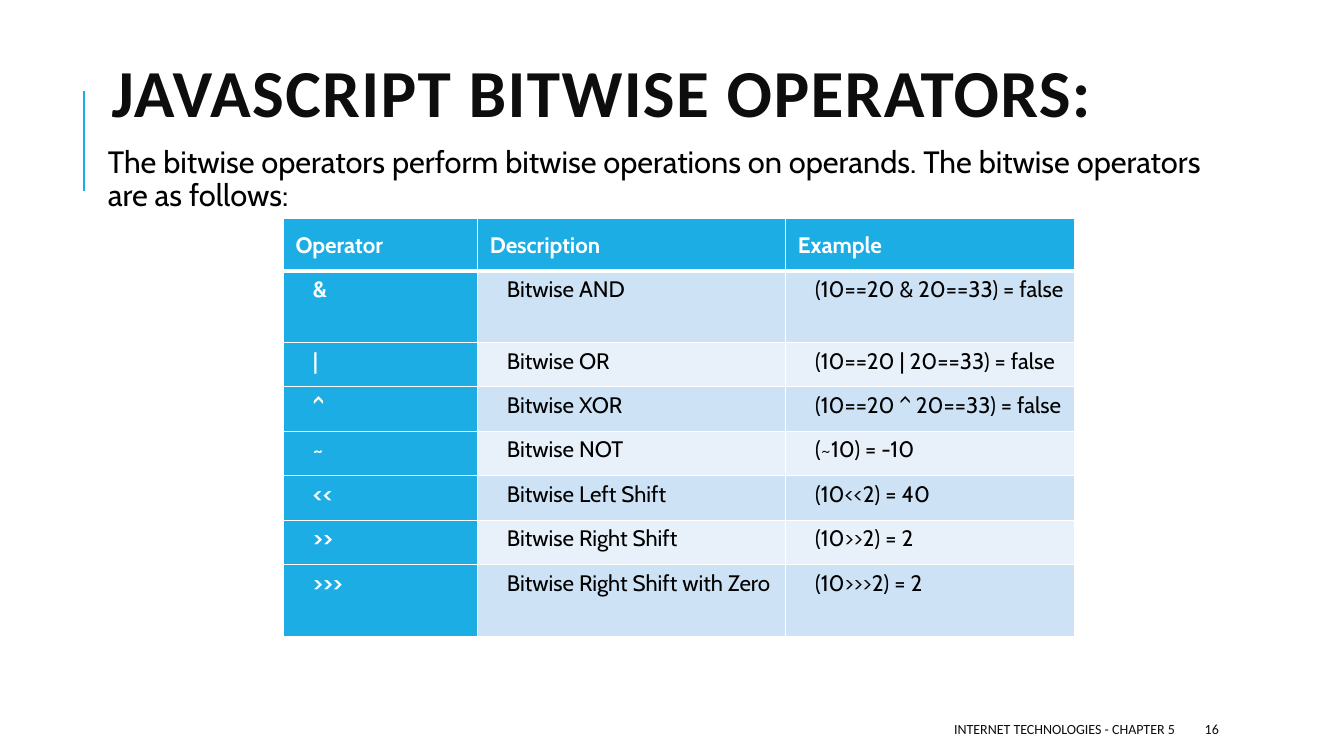
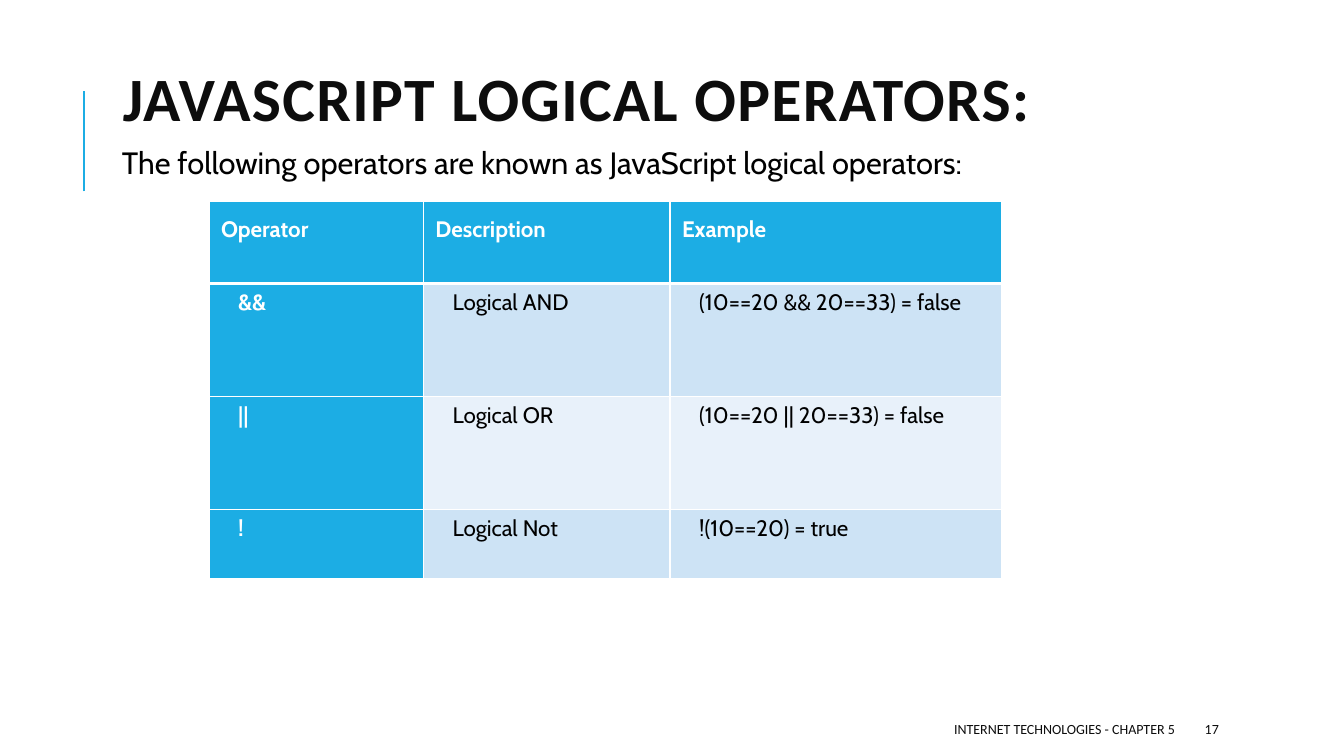
import pptx
import pptx.dml.color
import pptx.enum.shapes
import pptx.enum.text
import pptx.oxml
import pptx.oxml.ns
import pptx.util

WIDE = pptx.util.Inches(13.33)
HIGH = pptx.util.Inches(7.5)
ALIGN = pptx.enum.text.PP_ALIGN
ANCHOR = pptx.enum.text.MSO_ANCHOR
HEAD = "Calibri"
BODY = "Cabin"
HUES = {
    "blue": "1CADE4",
    "band": "CDE3F5",
    "pale": "E8F1FA",
    "white": "FFFFFF",
    "black": "000000",
    "ink": "0D0D0D",
}
TITLES = ["Operator", "Description", "Example"]
BITWISE = [
    ["&", "Bitwise AND", "(10==20 & 20==33) = false"],
    ["|", "Bitwise OR", "(10==20 | 20==33) = false"],
    ["^", "Bitwise XOR", "(10==20 ^ 20==33) = false"],
    ["~", "Bitwise NOT", "(~10) = -10"],
    ["<<", "Bitwise Left Shift", "(10<<2) = 40"],
    [">>", "Bitwise Right Shift", "(10>>2) = 2"],
    [">>>", "Bitwise Right Shift with Zero", "(10>>>2) = 2"],
]
LOGIC = [
    ["&&", "Logical AND", "(10==20 && 20==33) = false"],
    ["||", "Logical OR", "(10==20 || 20==33) = false"],
    ["!", "Logical Not", "!(10==20) = true"],
]


def across(share):
    return int(WIDE * share / 100)


def down(share):
    return int(HIGH * share / 100)


def place(box):
    left, top, width, height = box
    return across(left), down(top), across(width), down(height)


def color(hue):
    return pptx.dml.color.RGBColor.from_string(HUES[hue])


def write(para, text, face, size, hue, bold=False):
    run = para.add_run()
    run.text = text
    run.font.name = face
    run.font.size = pptx.util.Pt(size)
    run.font.bold = bold
    run.font.color.rgb = color(hue)
    return run


def indent(para, inches):
    para._p.get_or_add_pPr().set("marL", str(pptx.util.Inches(inches)))


def inset(item, inches):
    for side in ("left", "top", "right", "bottom"):
        setattr(item, f"margin_{side}", pptx.util.Inches(inches))


def frame(slide, box, anchor):
    text = slide.shapes.add_textbox(*place(box)).text_frame
    text.word_wrap = True
    text.vertical_anchor = anchor
    return text


def title(slide, text, box, size):
    para = frame(slide, box, ANCHOR.MIDDLE).paragraphs[0]
    para.line_spacing = 0.8
    run = write(para, text, HEAD, size, "ink", True)
    run._r.get_or_add_rPr().set("spc", "100")


def intro(slide, text, box):
    body = frame(slide, box, ANCHOR.TOP)
    inset(body, 0.05)
    para = body.paragraphs[0]
    indent(para, 0.1)
    para.line_spacing = 0.9
    para.space_after = pptx.util.Pt(2)
    write(para, text, BODY, 22, "black")


def rule(slide):
    line = slide.shapes.add_connector(
        pptx.enum.shapes.MSO_CONNECTOR.STRAIGHT,
        across(6.25), down(25.33), across(6.25), down(12))
    line.line.color.rgb = color("blue")
    line.line.width = pptx.util.Pt(1.5)
    line._element.spPr.append(pptx.oxml.parse_xml(
        f"<a:effectLst {pptx.oxml.ns.nsdecls('a')}/>"))


def footer(slide, page):
    parts = [("INTERNET TECHNOLOGIES - CHAPTER 5", 39.75, 48.4, ALIGN.RIGHT),
             (str(page), 88.9, 7.95, ALIGN.LEFT)]
    for text, left, width, align in parts:
        para = frame(slide, (left, 94.4, width, 4), ANCHOR.MIDDLE).paragraphs[0]
        para.alignment = align
        write(para, text, HEAD, 10, "ink")


def border(cell, row):
    space = pptx.oxml.ns.nsdecls("a")
    sizes = {"L": 1, "R": 1, "T": 3 if row == 1 else 1, "B": 3 if row == 0 else 1}
    for side, size in sizes.items():
        cell._tc.get_or_add_tcPr().append(pptx.oxml.parse_xml(
            f'<a:ln{side} {space} w="{pptx.util.Pt(size)}"><a:solidFill>'
            f'<a:srgbClr val="{HUES["white"]}"/></a:solidFill></a:ln{side}>'))


def fill(cell, text, row, col):
    head = row == 0
    key = head or col == 0
    border(cell, row)
    cell.fill.solid()
    cell.fill.fore_color.rgb = color("blue" if key else "band" if row % 2 else "pale")
    inset(cell, 0.12 if head else 0.08)
    para = cell.text_frame.paragraphs[0]
    para.space_after = pptx.util.Pt(8)
    if head:
        para.line_spacing = 1.07
    else:
        para.line_spacing = pptx.util.Pt(17.2)
        para.alignment = ALIGN.JUSTIFY
        indent(para, 0.21)
    write(para, text, BODY, 16, "white" if key else "black", key)


def chart(slide, data, left, top, widths, heights):
    cells = [TITLES] + data
    box = left, top, sum(widths), sum(heights)
    table = slide.shapes.add_table(len(cells), len(TITLES), *place(box)).table
    table.first_col = True
    for col, width in zip(table.columns, widths):
        col.width = across(width)
    for row, height in zip(table.rows, heights):
        row.height = down(height)
    for row, texts in enumerate(cells):
        for col, text in enumerate(texts):
            fill(table.cell(row, col), text, row, col)


def start(deck, page):
    slide = deck.slides.add_slide(deck.slide_layouts[6])
    rule(slide)
    footer(slide, page)
    return slide


def main():
    deck = pptx.Presentation()
    deck.slide_width = WIDE
    deck.slide_height = HIGH

    slide = start(deck, 16)
    title(slide, "JAVASCRIPT BITWISE OPERATORS:", (7.58, 5.33, 79.75, 15.2), 48)
    intro(slide, "The bitwise operators perform bitwise operations on operands. "
          "The bitwise operators are as follows:", (6.9, 18.8, 86.25, 70))
    chart(slide, BITWISE, 21.1, 28.85, [14.45, 22.92, 21.5],
          [6.95, 9.45] + [5.88] * 5 + [9.45])

    slide = start(deck, 17)
    title(slide, "JAVASCRIPT LOGICAL OPERATORS:", (8.4, 8.53, 79.75, 10.4), 44)
    intro(slide, "The following operators are known as JavaScript logical operators:",
          (7.95, 18.93, 86.25, 65.2))
    chart(slide, LOGIC, 15.55, 26.7, [15.95, 18.35, 24.65], [10.8, 14.95, 14.95, 9.2])

    deck.save("out.pptx")


if __name__ == "__main__":
    main()
